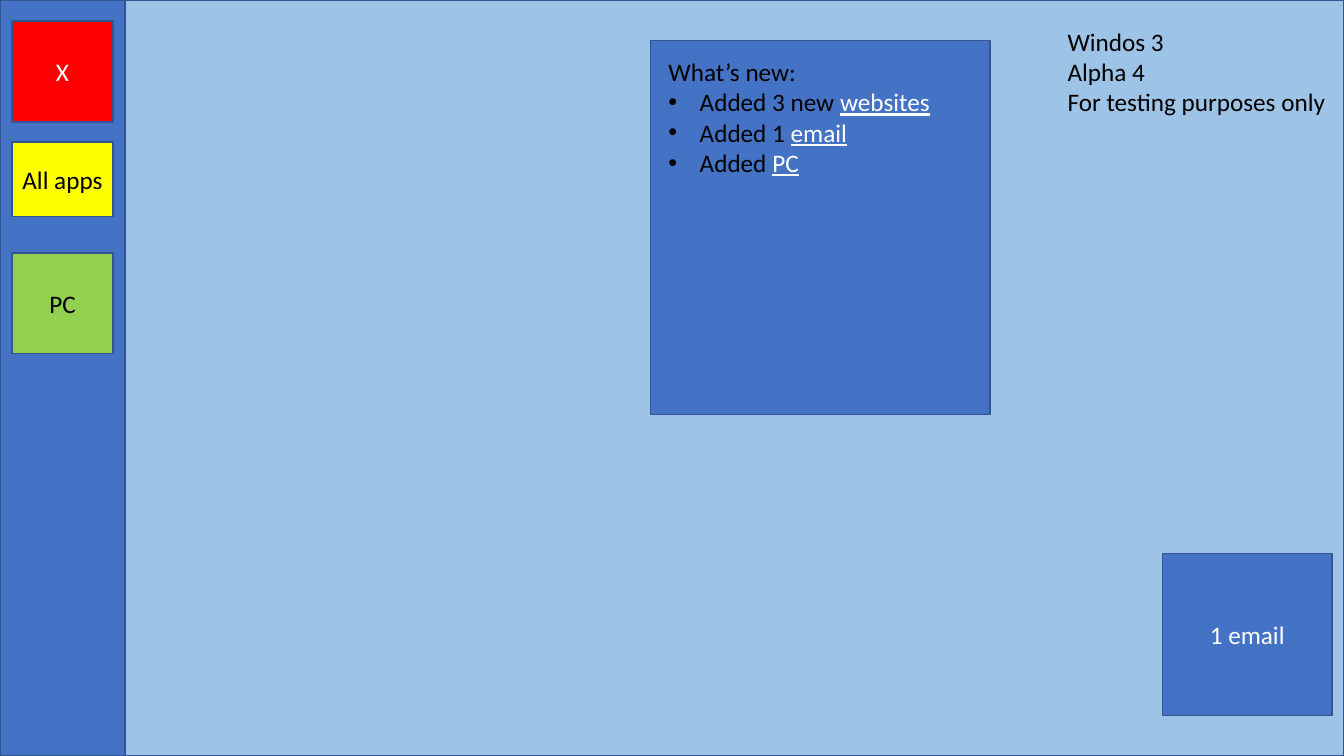
from pptx import Presentation
from pptx.dml.color import RGBColor as RGB
from pptx.enum.shapes import MSO_SHAPE as SHAPE
from pptx.enum.text import MSO_ANCHOR as ANCHOR, MSO_AUTO_SIZE as FIT, PP_ALIGN as ALIGN
from pptx.oxml.ns import qn
from pptx.util import Inches, Pt
from lxml.etree import SubElement

COLORS = {
    "desktop": "9DC3E6", "panel": "4472C4", "edge": "325491",
    "close": "FF0000", "apps": "FFFF00", "pc": "92D050",
    "dark": "000000", "light": "FFFFFF",
}
WIDTH, HEIGHT = 13.33, 7.5
TILE_LEFT, TILE = 0.12, 1

prs = Presentation()
prs.slide_width, prs.slide_height = Inches(WIDTH), Inches(HEIGHT)
slide = prs.slides.add_slide(prs.slide_layouts[1])
shapes = slide.shapes


def add_run(paragraph, text, color):
    run = paragraph.add_run()
    run.text = text
    run.font.name, run.font.size = "Calibri", Pt(18)
    run.font.color.rgb = RGB.from_string(COLORS[color])
    return run


def add_panel(left, top, width, height, fill, label="", color="light"):
    panel = shapes.add_shape(SHAPE.RECTANGLE, *map(Inches, (left, top, width, height)))
    panel.shadow.inherit = False
    panel.fill.solid()
    panel.fill.fore_color.rgb = RGB.from_string(COLORS[fill])
    panel.line.color.rgb = RGB.from_string(COLORS["edge"])
    panel.line.width = Pt(1)
    if label:
        panel.text_frame.vertical_anchor = ANCHOR.MIDDLE
        paragraph = panel.text_frame.paragraphs[0]
        paragraph.alignment = ALIGN.CENTER
        add_run(paragraph, label, color)


# Desktop and sidebar
add_panel(0, 0, WIDTH, HEIGHT, "desktop")
add_panel(0, 0, TILE + 2 * TILE_LEFT, HEIGHT, "panel")

# Sidebar tiles
for top, height, fill, label, color in (
    (0.21, TILE, "close", "X", "light"),
    (1.41, 0.74, "apps", "All apps", "dark"),
    (2.51, TILE, "pc", "PC", "dark"),
):
    add_panel(TILE_LEFT, top, TILE, height, fill, label, color)

# News card and mail notification
add_panel(6.45, 0.4, 3.37, 3.71, "panel")
add_panel(11.53, 5.49, 1.68, 1.61, "panel", "1 email")

# Version note
version = shapes.add_textbox(*map(Inches, (10.49, 0.21, 2.84, 1.01))).text_frame
version.word_wrap = True
for i, line in enumerate(("Windos 3", "Alpha 4", "For testing purposes only")):
    paragraph = version.add_paragraph() if i else version.paragraphs[0]
    add_run(paragraph, line, "dark")

# News list, brought in front of its card; the title placeholder is unused
title, news_list = shapes.title, slide.placeholders[1]
title.element.getparent().remove(title.element)
shapes.element.append(news_list.element)
news_list.left, news_list.top, news_list.width, news_list.height = map(
    Inches, (6.53, 0.51, 3.17, 1.31))
news = news_list.text_frame
news.auto_size = FIT.NONE
news.word_wrap = True
for i, (text, link) in enumerate((
    ("What’s new:", ""),
    ("Added 3 new ", "websites"),
    ("Added 1 ", "email"),
    ("Added ", "PC"),
)):
    paragraph = news.add_paragraph() if i else news.paragraphs[0]
    paragraph.space_before = Pt(0)
    indent = Inches(0.31) if link else 0
    props = paragraph._p.get_or_add_pPr()
    props.set("marL", str(indent))
    props.set("indent", str(-indent))
    if link:
        SubElement(props, qn("a:buFont"), typeface="Arial")
        SubElement(props, qn("a:buChar"), char="•")
    else:
        SubElement(props, qn("a:buNone"))
    add_run(paragraph, text, "dark")
    if link:
        add_run(paragraph, link, "light").font.underline = True

prs.save("out.pptx")
